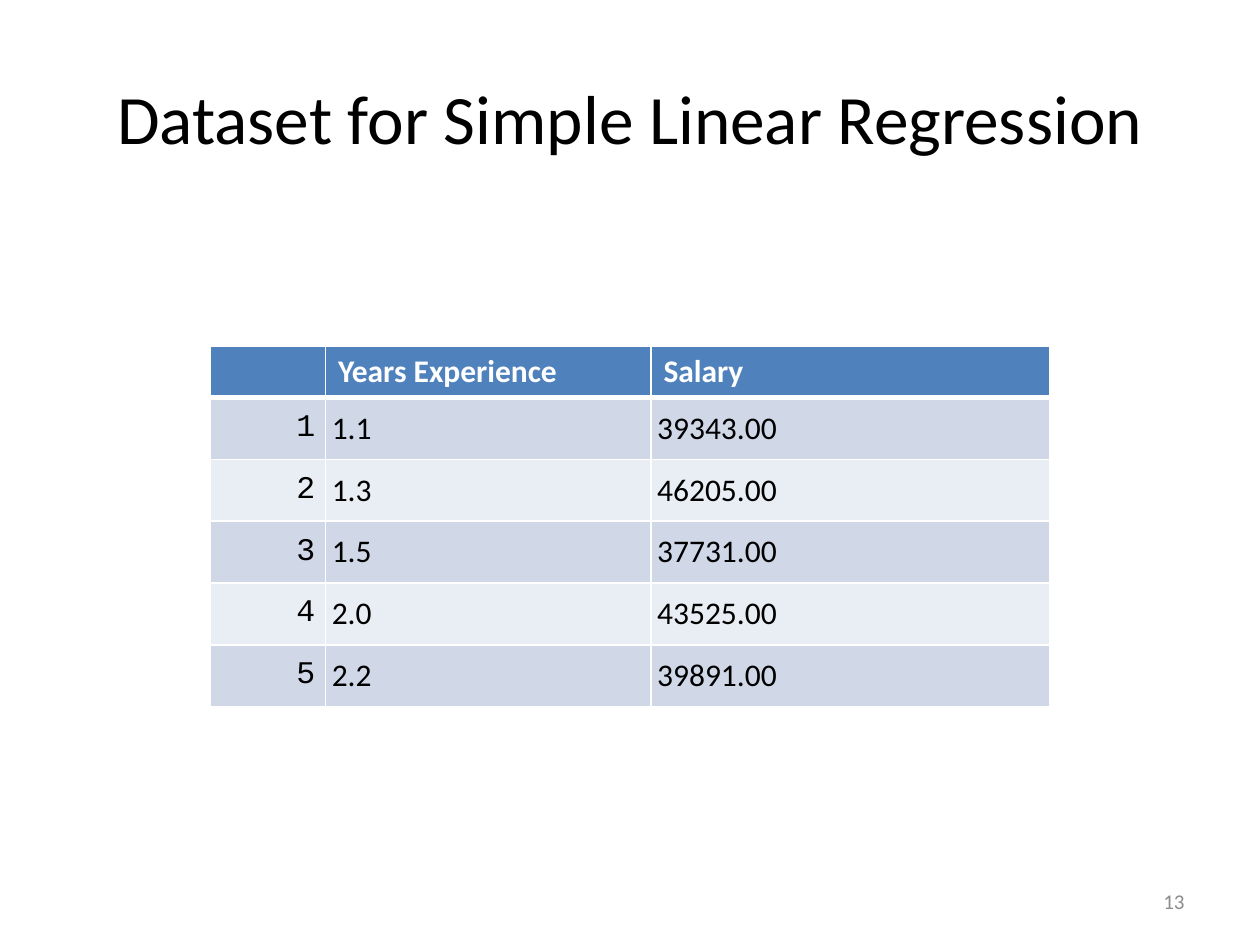
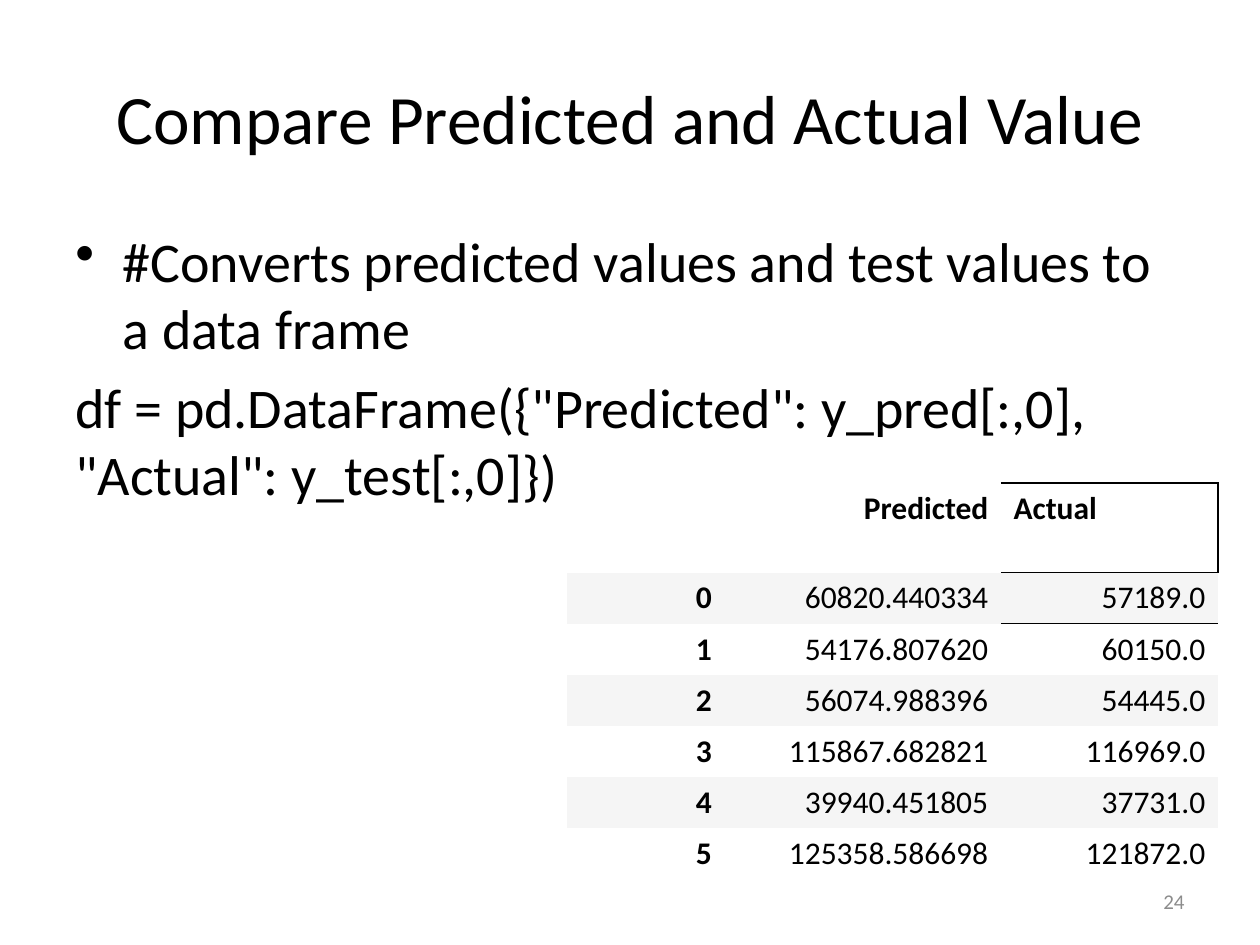
"""Build two slides on simple linear regression: the dataset and the predictions."""
from dataclasses import dataclass, field, replace
from typing import Optional

from lxml import etree
from pptx import Presentation
from pptx.dml.color import RGBColor
from pptx.enum.text import MSO_ANCHOR, PP_ALIGN
from pptx.oxml.ns import qn
from pptx.util import Pt


@dataclass(frozen=True)
class Theme:
    """Colours, fonts and type sizes shared by the slides."""
    ink: str = "000000"
    paper: str = "FFFFFF"
    muted: str = "8C8C8C"
    header: str = "4F81BD"
    blue_bands: tuple[str, str] = ("D0D8E8", "E9EDF4")
    grey_bands: tuple[str, str] = ("F5F5F5", "FFFFFF")
    font: str = "Calibri"
    code_font: str = "Courier New"
    title_size: float = 39.6
    body_size: float = 32
    table_size: float = 18
    number_size: float = 12


THEME = Theme()
NO_TABLE_STYLE = "{2D5ABB26-0587-4C30-8999-92F81FD0307C}"


@dataclass(frozen=True)
class Box:
    """Position and size in points."""
    left: float
    top: float
    width: float
    height: float

    def lengths(self) -> tuple:
        """Return the four lengths in the order python-pptx expects."""
        return Pt(self.left), Pt(self.top), Pt(self.width), Pt(self.height)


@dataclass(frozen=True)
class Border:
    """Colour and width of one cell edge."""
    color: str
    width: float = 1


@dataclass(frozen=True)
class CellStyle:
    """Look of one table cell; insets run left, top, right, bottom."""
    fill: Optional[str] = None
    color: str = THEME.ink
    font: str = THEME.font
    bold: bool = False
    align: PP_ALIGN = PP_ALIGN.LEFT
    anchor: MSO_ANCHOR = MSO_ANCHOR.TOP
    insets: tuple[float, float, float, float] = (7.2, 3.6, 7.2, 3.6)
    borders: dict[str, Border] = field(default_factory=dict)


@dataclass(frozen=True)
class DataTable:
    """Texts, measures and column styles of a table with banded rows."""
    left: float
    top: float
    widths: tuple[float, ...]
    header_height: float
    row_height: float
    header: tuple[str, ...]
    rows: tuple[tuple[str, ...], ...]
    header_styles: tuple[CellStyle, ...]
    column_styles: tuple[CellStyle, ...]
    bands: tuple[str, str]
    first_row_top: dict[int, Border]


TITLE_BOX = Box(36, 21.6, 648, 90)
BODY_BOX = Box(36, 126, 648, 356.4)
NUMBER_BOX = Box(516, 500.4, 168, 28.8)

GRID = {side: Border(THEME.paper) for side in "LRTB"}
HEADER_RULE = Border(THEME.paper, 3)
DATASET_HEADER = CellStyle(fill=THEME.header, color=THEME.paper, bold=True,
                           borders=GRID | {"B": HEADER_RULE})
DATASET_INDEX = CellStyle(font=THEME.code_font, align=PP_ALIGN.RIGHT,
                          insets=(5.8, 7.2, 5.8, 6.5), borders=GRID)
DATASET_VALUE = CellStyle(anchor=MSO_ANCHOR.MIDDLE, insets=(3.6,) * 4, borders=GRID)

DATASET = DataTable(
    left=120, top=198, widths=(66, 186, 228), header_height=29.2, row_height=34.7,
    header=("", "Years Experience", "Salary"),
    rows=(
        ("1", "1.1", "39343.00"),
        ("2", "1.3", "46205.00"),
        ("3", "1.5", "37731.00"),
        ("4", "2.0", "43525.00"),
        ("5", "2.2", "39891.00"),
    ),
    header_styles=(DATASET_HEADER,) * 3,
    column_styles=(DATASET_INDEX, DATASET_VALUE, DATASET_VALUE),
    bands=THEME.blue_bands,
    first_row_top={column: HEADER_RULE for column in range(3)},
)

FRAME = Border(THEME.ink)
PREDICTED_HEADER = CellStyle(fill=THEME.paper, bold=True, align=PP_ALIGN.RIGHT)
ACTUAL_HEADER = CellStyle(bold=True, borders={side: FRAME for side in "RTB"})
COMPARISON_VALUE = CellStyle(align=PP_ALIGN.RIGHT, anchor=MSO_ANCHOR.MIDDLE)

COMPARISON = DataTable(
    left=324, top=276, widths=(90, 158, 124), header_height=51.2, row_height=29.2,
    header=("", "Predicted", "Actual"),
    rows=(
        ("0", "60820.440334", "57189.0"),
        ("1", "54176.807620", "60150.0"),
        ("2", "56074.988396", "54445.0"),
        ("3", "115867.682821", "116969.0"),
        ("4", "39940.451805", "37731.0"),
        ("5", "125358.586698", "121872.0"),
    ),
    header_styles=(PREDICTED_HEADER, PREDICTED_HEADER, ACTUAL_HEADER),
    column_styles=(replace(COMPARISON_VALUE, bold=True), COMPARISON_VALUE, COMPARISON_VALUE),
    bands=THEME.grey_bands,
    first_row_top={2: FRAME},
)


def write_text(paragraph, text: str, *, size: float, color: str = THEME.ink,
               font: str = THEME.font, bold: bool = False,
               align: PP_ALIGN = PP_ALIGN.LEFT, space_before: float = 0,
               bullet: str = "", indent: float = 0) -> None:
    """Write text into a paragraph with the given format."""
    paragraph.alignment = align
    paragraph.space_before = Pt(space_before)
    paragraph.font.size = Pt(size)
    if bullet:
        properties = paragraph._p.get_or_add_pPr()
        properties.set("marL", str(Pt(indent)))
        properties.set("indent", str(-Pt(indent)))
        properties.insert_element_before(
            properties.makeelement(qn("a:buChar"), {"char": bullet}), "a:defRPr")
    if text:
        run = paragraph.add_run()
        run.text = text
        run.font.size = Pt(size)
        run.font.name = font
        run.font.bold = bold
        run.font.color.rgb = RGBColor.from_string(color)


def add_text_frame(slide, box: Box, anchor: MSO_ANCHOR = MSO_ANCHOR.TOP):
    """Add a wrapping text box and return its frame."""
    frame = slide.shapes.add_textbox(*box.lengths()).text_frame
    frame.word_wrap = True
    frame.vertical_anchor = anchor
    return frame


def draw_borders(cell, borders: dict[str, Border]) -> None:
    """Draw the given edges of a cell, ahead of its fill."""
    properties = cell._tc.get_or_add_tcPr()
    sides = [side for side in "LRTB" if side in borders]
    for position, side in enumerate(sides):
        border = borders[side]
        line = etree.Element(qn(f"a:ln{side}"), w=str(Pt(border.width)))
        fill = etree.SubElement(line, qn("a:solidFill"))
        etree.SubElement(fill, qn("a:srgbClr"), val=border.color)
        properties.insert(position, line)


def fill_cell(cell, text: str, style: CellStyle) -> None:
    """Write and format one table cell."""
    cell.margin_left, cell.margin_top, cell.margin_right, cell.margin_bottom = map(
        Pt, style.insets)
    cell.vertical_anchor = style.anchor
    if style.fill:
        cell.fill.solid()
        cell.fill.fore_color.rgb = RGBColor.from_string(style.fill)
    else:
        cell.fill.background()
    draw_borders(cell, style.borders)
    write_text(cell.text_frame.paragraphs[0], text, size=THEME.table_size,
               color=style.color, font=style.font, bold=style.bold, align=style.align)


def add_data_table(slide, data: DataTable) -> None:
    """Add a table with a header row and banded rows."""
    height = data.header_height + data.row_height * len(data.rows)
    box = Box(data.left, data.top, sum(data.widths), height)
    table = slide.shapes.add_table(
        len(data.rows) + 1, len(data.widths), *box.lengths()).table
    table._tbl.tblPr.find(qn("a:tableStyleId")).text = NO_TABLE_STYLE
    table.horz_banding = False
    for column, width in zip(table.columns, data.widths):
        column.width = Pt(width)
    for index, row in enumerate(table.rows):
        row.height = Pt(data.row_height if index else data.header_height)
    for column, (text, style) in enumerate(zip(data.header, data.header_styles)):
        fill_cell(table.cell(0, column), text, style)
    for index, values in enumerate(data.rows):
        for column, (text, style) in enumerate(zip(values, data.column_styles)):
            borders = dict(style.borders)
            if index == 0 and column in data.first_row_top:
                borders["T"] = data.first_row_top[column]
            banded = replace(style, fill=data.bands[index % 2], borders=borders)
            fill_cell(table.cell(index + 1, column), text, banded)


def add_page(presentation, title: str, number: int):
    """Add a blank slide with its title and page number."""
    slide = presentation.slides.add_slide(presentation.slide_layouts[6])
    heading = add_text_frame(slide, TITLE_BOX, MSO_ANCHOR.MIDDLE)
    write_text(heading.paragraphs[0], title, size=THEME.title_size, align=PP_ALIGN.CENTER)
    footer = add_text_frame(slide, NUMBER_BOX, MSO_ANCHOR.MIDDLE)
    write_text(footer.paragraphs[0], str(number), size=THEME.number_size,
               color=THEME.muted, align=PP_ALIGN.RIGHT)
    return slide


def add_conversion_code(slide) -> None:
    """Add the remark and the code that builds the data frame."""
    body = add_text_frame(slide, BODY_BOX)
    gap = THEME.body_size * 0.2
    write_text(body.paragraphs[0],
               "#Converts predicted values and test values to a data frame",
               size=THEME.body_size, space_before=gap, bullet="•", indent=27)
    write_text(body.add_paragraph(),
               'df = pd.DataFrame({"Predicted": y_pred[:,0], "Actual": y_test[:,0]})',
               size=THEME.body_size, space_before=gap)


def main() -> None:
    """Build and save the presentation."""
    presentation = Presentation()
    presentation.slide_width, presentation.slide_height = Pt(720), Pt(540)
    dataset_page = add_page(presentation, "Dataset for Simple Linear Regression", 13)
    add_data_table(dataset_page, DATASET)
    comparison_page = add_page(presentation, "Compare Predicted and Actual Value", 24)
    add_conversion_code(comparison_page)
    add_data_table(comparison_page, COMPARISON)
    presentation.save("out.pptx")


if __name__ == "__main__":
    main()
